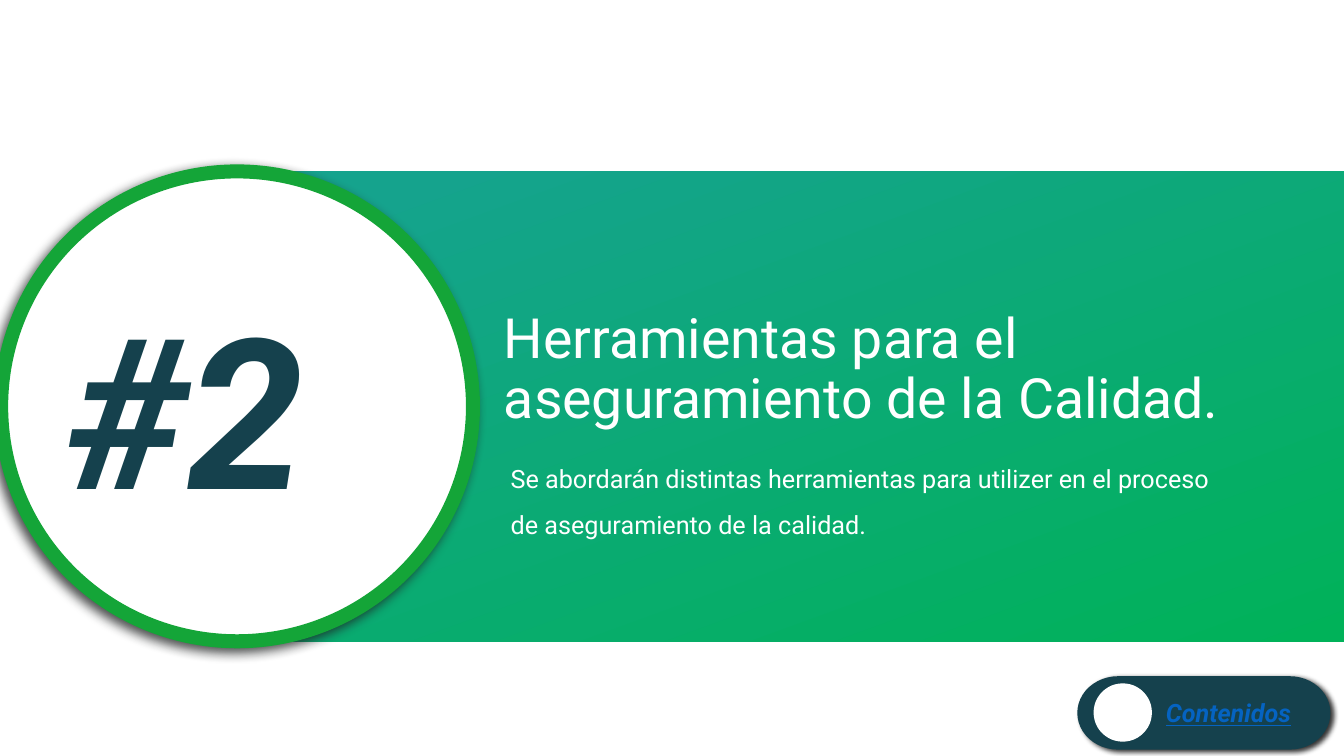
from dataclasses import dataclass

from lxml import etree
from pptx import Presentation
from pptx.dml.color import RGBColor
from pptx.enum.shapes import MSO_SHAPE
from pptx.enum.text import MSO_ANCHOR
from pptx.oxml.ns import qn
from pptx.util import Cm, Pt

RECTANGLE = MSO_SHAPE.RECTANGLE
OVAL = MSO_SHAPE.OVAL
PILL = MSO_SHAPE.FLOWCHART_TERMINATOR
TOP, MIDDLE = MSO_ANCHOR.TOP, MSO_ANCHOR.MIDDLE


@dataclass(frozen=True)
class Theme:
    font: str = "Roboto"
    white: str = "FFFFFF"
    navy: str = "15414D"
    teal: str = "15A38D"
    green: str = "00B259"
    ring: str = "14A538"
    link: str = "0563C1"
    ring_shadow: str = "1F2222"
    pill_shadow: str = "000000"
    number_size: float = 150
    title_size: float = 39.6
    body_size: float = 18
    ring_width: float = 10


class SectionSlide:
    def __init__(self, slide, theme):
        self.slide = slide
        self.theme = theme

    def shape(self, kind, left, top, width, height, fill):
        """Add a borderless shape, measured in centimetres."""
        shape = self.slide.shapes.add_shape(
            kind, Cm(left), Cm(top), Cm(width), Cm(height))
        shape.shadow.inherit = False
        shape.fill.solid()
        shape.fill.fore_color.rgb = RGBColor.from_string(fill)
        shape.line.fill.background()
        return shape

    def gradient(self, shape, stops, angle):
        """Fill with (position, colour) stops; angle runs clockwise."""
        shape.fill.gradient()
        shape.fill.gradient_angle = 360 - angle
        for stop, (position, color) in zip(shape.fill.gradient_stops, stops):
            stop.position = position
            stop.color.rgb = RGBColor.from_string(color)

    def outline(self, shape, color, width):
        shape.line.color.rgb = RGBColor.from_string(color)
        shape.line.width = Pt(width)

    def shadow(self, shape, color, direction, blur, distance, opacity):
        effects = shape._element.spPr.find(qn("a:effectLst"))
        outer = etree.SubElement(
            effects, qn("a:outerShdw"), blurRad=str(Pt(blur)),
            dist=str(Pt(distance)), dir=str(direction * 60000),
            algn="ctr", rotWithShape="0")
        tint = etree.SubElement(outer, qn("a:srgbClr"), val=color)
        etree.SubElement(tint, qn("a:alpha"), val=str(opacity * 1000))

    def text(self, wording, left, top, width, height, size, color,
             spacing=1.0, anchor=TOP, emphasis=False, underline=False):
        box = self.slide.shapes.add_textbox(
            Cm(left), Cm(top), Cm(width), Cm(height))
        frame = box.text_frame
        frame.word_wrap = True
        frame.vertical_anchor = anchor
        paragraph = frame.paragraphs[0]
        paragraph.line_spacing = spacing
        run = paragraph.add_run()
        run.text = wording
        font = run.font
        font.name = self.theme.font
        font.size = Pt(size)
        font.color.rgb = RGBColor.from_string(color)
        font.bold = font.italic = emphasis
        font.underline = underline


def main():
    deck = Presentation()
    deck.slide_width, deck.slide_height = Cm(33.87), Cm(19.05)
    theme = Theme()
    page = SectionSlide(deck.slides.add_slide(deck.slide_layouts[6]), theme)

    # Gradient band with the section title
    band = page.shape(RECTANGLE, 5.99, 4.32, 27.88, 11.84, theme.green)
    page.gradient(band, [(0.08, theme.teal), (1, theme.green)], 70)
    page.text("Herramientas para el aseguramiento de la Calidad.",
              12.45, 7.49, 20.85, 3.68, theme.title_size, theme.white,
              spacing=0.9, anchor=MIDDLE)

    # Ringed section number
    ring = page.shape(OVAL, 0.03, 4.32, 11.89, 11.84, theme.white)
    page.outline(ring, theme.ring, theme.ring_width)
    page.shadow(ring, theme.ring_shadow, 140, 8, 4, 80)
    page.text("#2", 1.42, 6.91, 9.14, 6.68, theme.number_size, theme.navy,
              emphasis=True)

    # Section summary
    page.text("Se abordarán distintas herramientas para utilizer en el "
              "proceso de aseguramiento de la calidad.",
              12.62, 11.18, 18.47, 2.44, theme.body_size, theme.white,
              spacing=1.5)

    # Contents button
    button = page.shape(PILL, 27.15, 17.04, 6.38, 1.85, theme.navy)
    page.shadow(button, theme.pill_shadow, 30, 4, 3, 80)
    page.text("Contenidos", 29.13, 17.45, 4.27, 1.02, theme.body_size,
              theme.link, emphasis=True, underline=True)
    page.shape(OVAL, 27.56, 17.22, 1.47, 1.47, theme.white)

    deck.save("out.pptx")


if __name__ == "__main__":
    main()
